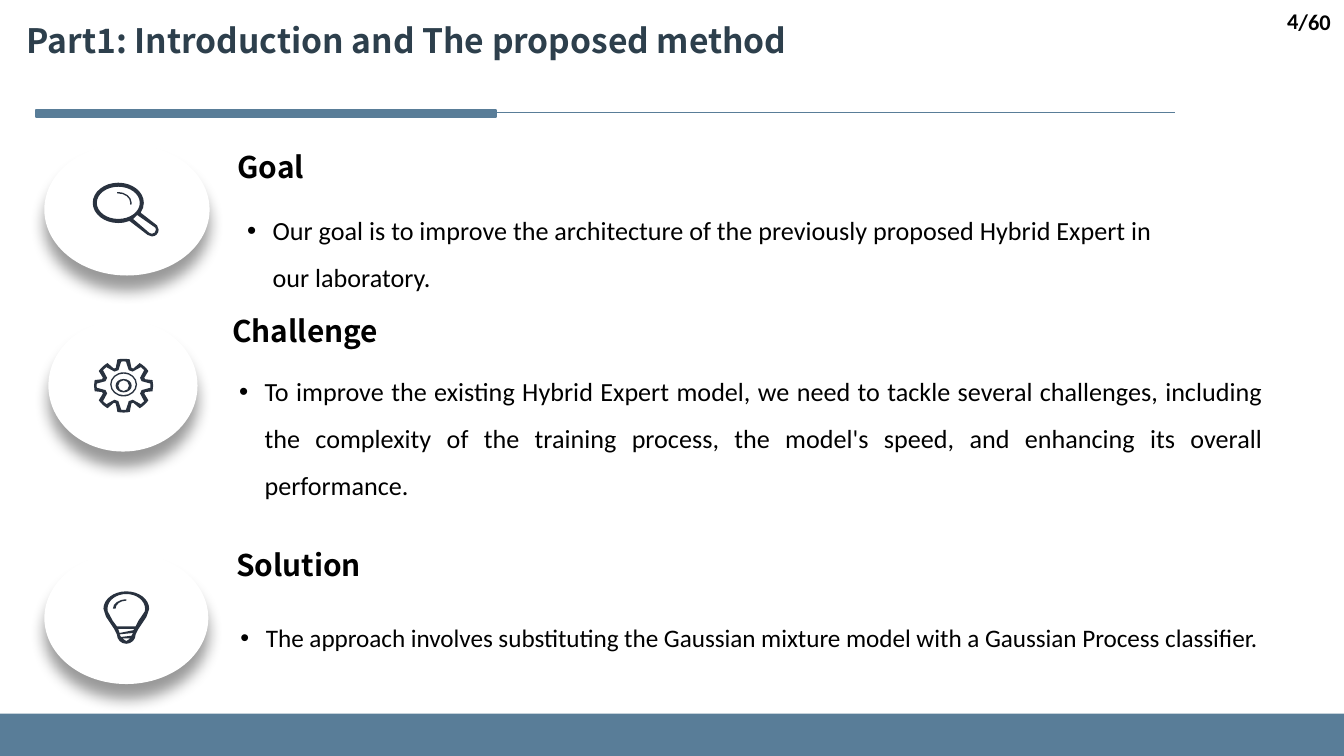
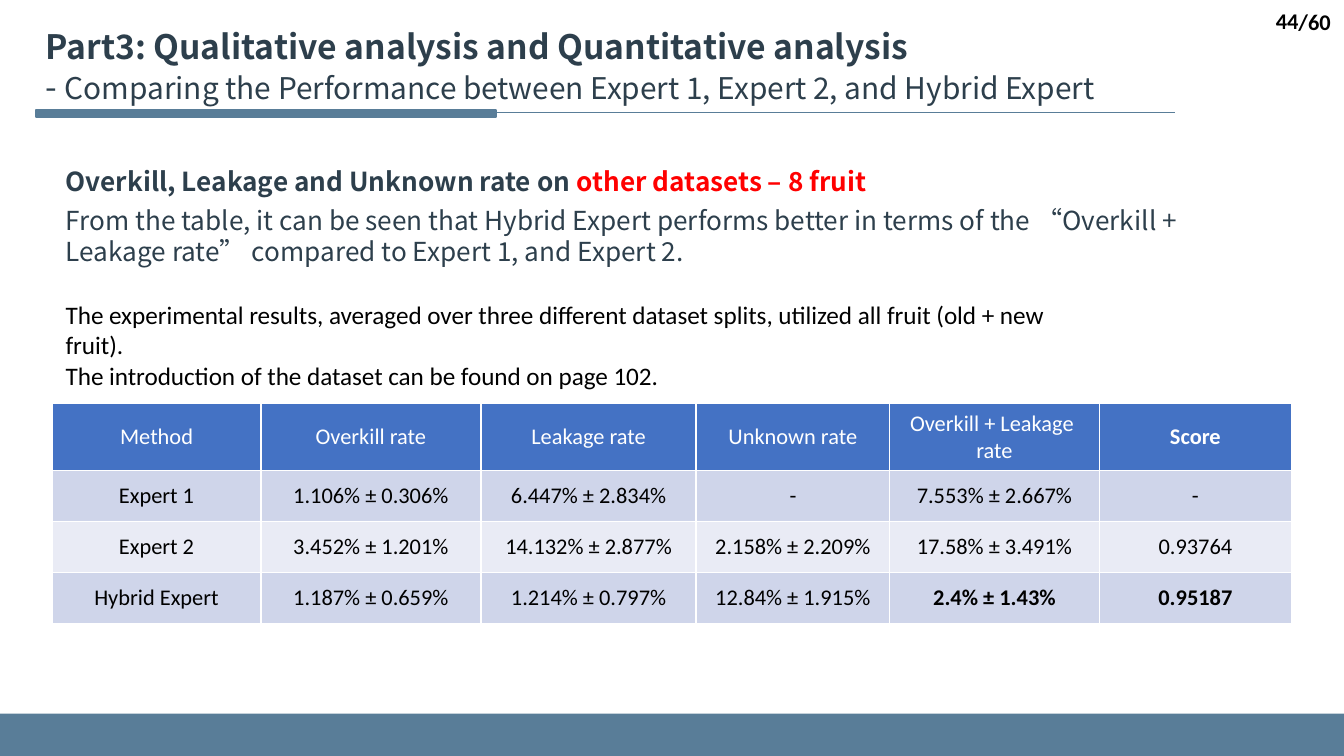
"""Build two slides on the Hybrid Expert method: its motivation and its results table."""
from math import cos, radians, sin, tan

from lxml import etree
from pptx import Presentation
from pptx.dml.color import RGBColor
from pptx.enum.shapes import MSO_CONNECTOR, MSO_SHAPE
from pptx.enum.text import MSO_ANCHOR, PP_ALIGN
from pptx.oxml.ns import qn
from pptx.util import Pt

PX = 9144
LEFT, RIGHT, CENTER, JUSTIFY = PP_ALIGN.LEFT, PP_ALIGN.RIGHT, PP_ALIGN.CENTER, PP_ALIGN.JUSTIFY
TOP, MIDDLE = MSO_ANCHOR.TOP, MSO_ANCHOR.MIDDLE
RECTANGLE, OVAL, STRAIGHT = MSO_SHAPE.RECTANGLE, MSO_SHAPE.OVAL, MSO_CONNECTOR.STRAIGHT
HEADING_FONT, BODY_FONT = "Noto Sans CJK SC", "Calibri"
STEEL, NAVY, INK = "597D98", "2D3F4C", "29323F"
BLACK, WHITE, RED = "000000", "FFFFFF", "FF0000"
HEADER_BLUE, BAND_DARK, BAND_LIGHT = "4472C4", "CFD5EA", "E9EBF5"
color = RGBColor.from_string


def add_text(slide, box, lines, size, face=BODY_FONT, ink=BLACK, bold=False,
             align=LEFT, anchor=TOP, bullet=False):
    """Add a text box; a line is a list of (words, colour) or plain words."""
    frame = slide.shapes.add_textbox(*[v * PX for v in box]).text_frame
    frame.word_wrap = True
    frame.vertical_anchor = anchor
    for number, line in enumerate(lines):
        paragraph = frame.add_paragraph() if number else frame.paragraphs[0]
        paragraph.alignment = align
        if bullet:
            properties = paragraph._p.get_or_add_pPr()
            properties.set("marL", str(19 * PX))
            properties.set("indent", str(-19 * PX))
            etree.SubElement(properties, qn("a:buFont"), typeface="Arial")
            etree.SubElement(properties, qn("a:buChar"), char="•")
            paragraph.line_spacing = 1.5
        paragraph.font.name = face
        paragraph.font.size = Pt(size)
        paragraph.font.bold = bold
        paragraph.font.color.rgb = color(ink)
        for words, tint in [(line, None)] if isinstance(line, str) else line:
            run = paragraph.add_run()
            run.text = words
            if tint:
                run.font.color.rgb = color(tint)


def draw_outline(slide, contours):
    """Fill contours made of points (x, y) and arcs (cx, cy, rx, ry, start, end)."""
    curves, builder = [], None
    for contour in contours:
        steps = []
        for part in contour:
            if len(part) == 2:
                steps.append([part])
                continue
            cx, cy, rx, ry, start, end = part
            stops = {start, end, *[q for q in range(-360, 720, 90)
                                   if min(start, end) < q < max(start, end)]}
            stops = [radians(stop) for stop in sorted(stops, reverse=end < start)]
            steps.append([(cx + rx * cos(stops[0]), cy + ry * sin(stops[0]))])
            for a, b in zip(stops, stops[1:]):
                pull = 4 / 3 * tan((b - a) / 4)
                steps.append([(cx + rx * (cos(a) - pull * sin(a)), cy + ry * (sin(a) + pull * cos(a))),
                              (cx + rx * (cos(b) + pull * sin(b)), cy + ry * (sin(b) - pull * cos(b))),
                              (cx + rx * cos(b), cy + ry * sin(b))])
        ends = [(step[-1][0] * PX, step[-1][1] * PX) for step in steps]
        if builder is None:
            builder = slide.shapes.build_freeform(*ends[0])
        else:
            builder.move_to(*ends[0])
        builder.add_line_segments(ends[1:], close=True)
        curves.append(steps)
    outline = builder.convert_to_shape()
    route = next(outline._element.iter(qn("a:path")))
    for segment in list(route):
        route.remove(segment)
    for steps in curves:
        for number, step in enumerate(steps):
            tag = "a:moveTo" if number == 0 else "a:lnTo" if len(step) == 1 else "a:cubicBezTo"
            segment = etree.SubElement(route, qn(tag))
            for x, y in step:
                etree.SubElement(segment, qn("a:pt"), x=str(round(x * PX) - outline.left),
                                 y=str(round(y * PX) - outline.top))
        etree.SubElement(route, qn("a:close"))
    outline.shadow.inherit = False
    outline.fill.solid()
    outline.fill.fore_color.rgb = color(INK)
    outline.line.fill.background()


deck = Presentation()
deck.slide_width, deck.slide_height = 1000 * PX, int(562.5 * PX)
layout = deck.slide_layouts[5]
intro, results = deck.slides.add_slide(layout), deck.slides.add_slide(layout)

rule = intro.shapes.add_connector(STRAIGHT, 874 * PX, 84 * PX, 27 * PX, 84 * PX)
rule.line.color.rgb = color(STEEL)
rule.line.width = Pt(0.5)
etree.SubElement(rule._element.spPr, qn("a:effectLst"))
footer, accent = [intro.shapes.add_shape(RECTANGLE, *[v * PX for v in box])
                  for box in [(0, 531, 1000, 32), (27, 82, 342, 5)]]
for bar in (footer, accent):
    bar.shadow.inherit = False
    bar.fill.solid()
    bar.fill.fore_color.rgb = color(STEEL)
footer.line.fill.background()
accent.line.color.rgb = color(STEEL)
accent.line.width = Pt(1)
for shared in (footer, rule, accent):
    layout.shapes._spTree.append(shared._element)

pages = [
    (intro, "4", (10, 10, 765, 40), [("Part1: Introduction and The proposed method", 18, True)]),
    (results, "44", (24, 14, 966, 71), [
        ("Part3: Qualitative analysis and Quantitative analysis\v", 18, True),
        ("- ", 18, False),
        ("Comparing the Performance between Expert 1, Expert 2, and Hybrid Expert", 16, False)]),
]
for slide, page_number, title_box, title_runs in pages:
    title = slide.shapes.title
    title.left, title.top, title.width, title.height = [v * PX for v in title_box]
    title.text_frame.word_wrap = True
    title.text_frame.vertical_anchor = TOP
    heading = title.text_frame.paragraphs[0]
    heading.alignment = LEFT
    heading.font.name = HEADING_FONT
    heading.font.color.rgb = color(NAVY)
    for words, size, bold in title_runs:
        line_words = words.rstrip("\v")
        run = heading.add_run()
        run.text = line_words
        run.font.size = Pt(size)
        run.font.bold = bold
        if line_words != words:
            heading.add_line_break()

    for words, box in [("/60", (954, 1, 46, 30)), (page_number, (775, 0, 201, 31))]:
        add_text(slide, box, [words], 12, bold=True, align=RIGHT, anchor=MIDDLE)

magnifier = [
    [[(88, 151, 19, 15, 64, 389), (113, 171, 5, 5, -40, 130)],
     [(88, 151, 16, 12, 0, 360)],
     [(102, 160), (113, 171, 3, 3, -30, 130), (99, 163)]],
    [[(88, 151, 10, 8, -95, 10), (88, 151, 9, 7, 10, -95)]],
]
gear_rim, gear_hollow = [], []
for tooth in range(0, 360, 45):
    gear_rim += [(92, 287, 22, 20, tooth - 12, tooth + 12),
                 (92, 287, 17, 14, tooth + 20, tooth + 25)]
    gear_hollow += [(92, 287, 20, 18, tooth - 5, tooth + 5),
                    (92, 287, 14, 12, tooth + 16, tooth + 29)]
gear = [
    [gear_rim, gear_hollow],
    [[(92, 286, 10, 9, 0, 360)], [(92, 286, 9, 8, 0, 360)]],
    [[(92, 287, 6, 5, 0, 360)], [(92, 287, 4, 4, 0, 360)]],
]
bulb = [
    [[(94, 453, 17, 13, 180, 360), (109, 459), (103, 468), (94, 472, 7, 7, 0, 180),
      (85, 468), (79, 459)],
     [(94, 453, 14, 11, 170, 370), (103, 462), (101, 466), (87, 466), (84, 462)],
     [(88, 468), (100, 468), (99, 469), (89, 471)],
     [(89, 472), (99, 471), (98, 473), (90, 474)],
     [(91, 475), (97, 475), (94, 477)]],
    [[(94, 453, 10, 7, 180, 270), (94, 453, 8, 6, 270, 180)]],
]
topics = [
    ("Goal", (167, 106, 75, 37), (33, 107, 123, 98), magnifier, (174, 143, 723, 77), 14, LEFT,
     "Our goal is to improve the architecture of the previously proposed Hybrid Expert in "
     "our laboratory."),
    ("Challenge", (163, 228, 133, 37), (36, 238, 111, 98), gear, (168, 263, 782, 112), 14, JUSTIFY,
     "To improve the existing Hybrid Expert model, we need to tackle several challenges, "
     "including the complexity of the training process, the model's speed, and enhancing "
     "its overall performance."),
    ("Solution", (166, 402, 124, 37), (33, 411, 122, 98), bulb, (169, 447, 821, 41), 13.5, LEFT,
     "The approach involves substituting the Gaussian mixture model with a Gaussian Process "
     "classifier."),
]
for topic, topic_box, disc_box, icon, detail_box, size, align, detail in topics:
    disc = intro.shapes.add_shape(OVAL, *[v * PX for v in disc_box])
    disc.shadow.inherit = False
    disc.fill.solid()
    disc.fill.fore_color.rgb = color(WHITE)
    disc.line.fill.background()
    shade = etree.SubElement(disc._element.spPr.find(qn("a:effectLst")), qn("a:outerShdw"),
                             blurRad=str(Pt(8)), dist=str(Pt(8)), dir="5400000", rotWithShape="0")
    shade_color = etree.SubElement(shade, qn("a:srgbClr"), val=BLACK)
    etree.SubElement(shade_color, qn("a:alpha"), val="40000")
    for contours in icon:
        draw_outline(intro, contours)
    add_text(intro, topic_box, [topic], 16, HEADING_FONT, bold=True)
    add_text(intro, detail_box, [detail], size, align=align, bullet=True)

add_text(results, (39, 118, 742, 34),
         [[("Overkill, Leakage and Unknown rate on ", None), ("other datasets – 8 fruit", RED)]],
         14, HEADING_FONT, NAVY, bold=True)
add_text(results, (39, 147, 888, 57),
         ["From the table, it can be seen that Hybrid Expert performs better in terms of the "
          "“Overkill + Leakage rate” compared to Expert 1, and Expert 2."],
         14, HEADING_FONT, NAVY)
add_text(results, (39, 218, 786, 56),
         ["The experimental results, averaged over three different dataset splits, utilized all "
          "fruit (old + new fruit).",
          "The introduction of the dataset can be found on page 102."], 13.5)

rates = [
    ["Method", "Overkill rate", "Leakage rate", "Unknown rate", "Overkill + Leakage \nrate", "Score"],
    ["Expert 1", "1.106% ± 0.306%", "6.447% ± 2.834%", "-", "7.553% ± 2.667%", "-"],
    ["Expert 2", "3.452% ± 1.201%", "14.132% ± 2.877%", "2.158% ± 2.209%", "17.58% ± 3.491%",
     "0.93764"],
    ["Hybrid Expert", "1.187% ± 0.659%", "1.214% ± 0.797%", "12.84% ± 1.915%", "2.4% ± 1.43%",
     "0.95187"],
]
emphasised = {(0, 5), (3, 4), (3, 5)}
row_fills = [HEADER_BLUE, BAND_DARK, BAND_LIGHT, BAND_DARK]
table = results.shapes.add_table(4, 6, 39 * PX, 300 * PX, 922 * PX, 164 * PX).table
for column, width in zip(table.columns, [155, 164, 160, 144, 156, 143]):
    column.width = width * PX
for row, height in zip(table.rows, [50, 38, 38, 38]):
    row.height = height * PX
for r, values in enumerate(rates):
    for c, value in enumerate(values):
        cell = table.cell(r, c)
        cell.text = value
        cell.vertical_anchor = MIDDLE
        if r in (1, 2) and c:
            cell.margin_left = cell.margin_right = 13 * PX
            cell.margin_top = cell.margin_bottom = 7 * PX
        for side in ("lnL", "lnR", "lnT", "lnB"):
            border = etree.SubElement(cell._tc.get_or_add_tcPr(), qn("a:" + side), w=str(Pt(1)))
            border_fill = etree.SubElement(border, qn("a:solidFill"))
            etree.SubElement(border_fill, qn("a:srgbClr"), val=WHITE)
        cell.fill.solid()
        cell.fill.fore_color.rgb = color(row_fills[r])
        for paragraph in cell.text_frame.paragraphs:
            paragraph.alignment = CENTER
            paragraph.font.name = BODY_FONT
            paragraph.font.size = Pt(12)
            paragraph.font.bold = (r, c) in emphasised
            paragraph.font.color.rgb = color(BLACK if r else WHITE)

deck.save("out.pptx")
